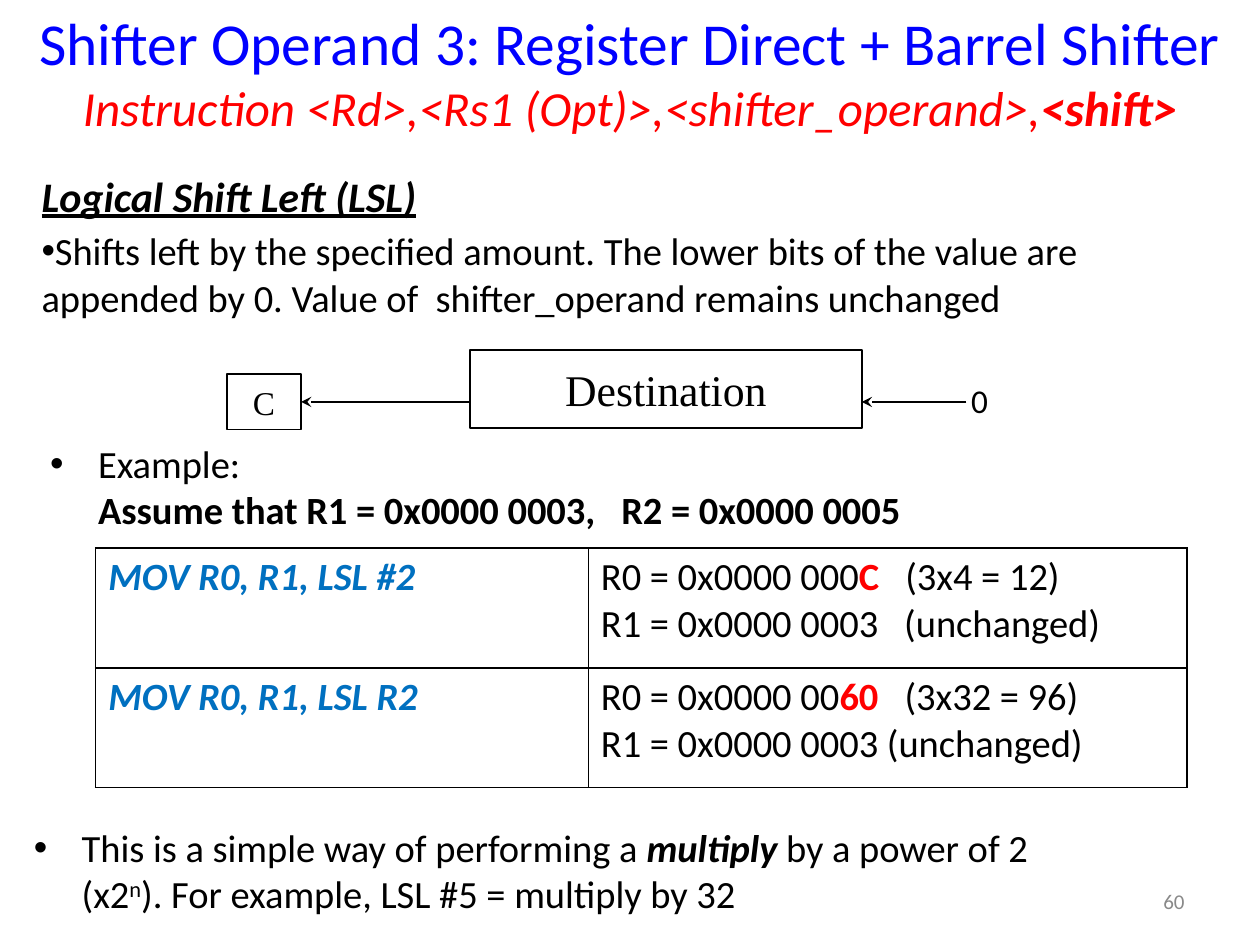
from lxml import etree
from pptx import Presentation
from pptx.dml.color import RGBColor
from pptx.enum.shapes import MSO_CONNECTOR, MSO_SHAPE
from pptx.enum.text import MSO_ANCHOR, MSO_AUTO_SIZE, PP_ALIGN
from pptx.oxml.ns import qn
from pptx.util import Inches, Pt

CENTER, RIGHT = PP_ALIGN.CENTER, PP_ALIGN.RIGHT
TOP, MIDDLE = MSO_ANCHOR.TOP, MSO_ANCHOR.MIDDLE
STRAIGHT, RECTANGLE = MSO_CONNECTOR.STRAIGHT, MSO_SHAPE.RECTANGLE
NO_FIT = MSO_AUTO_SIZE.NONE
LEFT_SIDE, RIGHT_SIDE = 1, 3
COLORS = {"title": "0000FF", "syntax": "FF0000", "text": "000000",
          "code": "0070C0", "number": "898989", "paper": "FFFFFF"}
SANS, SERIF = "Calibri", "Times New Roman"
BODY_SIZE = 22
CHANGED = {"color": "syntax", "bold": True}
CODE = {"color": "code", "bold": True, "italic": True}
TABLE_ROWS = [
    ("MOV R0, R1, LSL #2",
     [("R0 = 0x0000 000", {}), ("C   ", CHANGED), ("(3x4 = 12)", {})],
     "R1 = 0x0000 0003   (unchanged)"),
    ("MOV R0, R1, LSL R2",
     [("R0 = 0x0000 00", {}), ("60   ", CHANGED), ("(3x32 = 96)", {})],
     "R1 = 0x0000 0003 (unchanged)"),
]


def rgb(name):
    """Look up a named colour."""
    return RGBColor.from_string(COLORS[name])


def style_run(run, size=BODY_SIZE, font=SANS, color="text", bold=False,
              italic=False, underline=False, raised=False):
    """Format one run."""
    run.font.size = Pt(size)
    run.font.name = font
    run.font.color.rgb = rgb(color)
    run.font.bold, run.font.italic = bold, italic
    run.font.underline = underline
    if raised:
        run.font._element.set("baseline", "30000")


def write(paragraph, pieces, align=None, before=0):
    """Fill a paragraph with (text, style) pieces."""
    paragraph.alignment = align
    paragraph.space_before = Pt(before)
    for text, style in pieces:
        run = paragraph.add_run()
        run.text = text
        style_run(run, **style)


def set_bullet(paragraph, margin=0.0, hanging=0.0, bullet=True):
    """Set the indent of a paragraph and switch its bullet on or off."""
    properties = paragraph._p.get_or_add_pPr()
    properties.set("marL", str(Inches(margin)))
    properties.set("indent", str(-Inches(hanging)))
    if bullet:
        etree.SubElement(properties, qn("a:buFont")).set("typeface", "Arial")
        etree.SubElement(properties, qn("a:buChar")).set("char", "•")
    else:
        etree.SubElement(properties, qn("a:buNone"))


def place(shape, box):
    """Move a shape to a box given as left, top, width, height in inches."""
    shape.left, shape.top, shape.width, shape.height = map(Inches, box)


def add_text_box(slide, box, wrap=True, anchor=TOP):
    """Add an empty text box and return its text frame."""
    frame = slide.shapes.add_textbox(*map(Inches, box)).text_frame
    frame.word_wrap = wrap
    frame.vertical_anchor = anchor
    return frame


def prepare_placeholder(placeholder, box):
    """Place a placeholder, align it to the top and return its text frame."""
    place(placeholder, box)
    frame = placeholder.text_frame
    frame.auto_size = NO_FIT
    frame.vertical_anchor = TOP
    return frame


def fill_title(slide, box):
    """Write the title and the instruction syntax."""
    frame = prepare_placeholder(slide.shapes.title, box)
    write(frame.paragraphs[0],
          [("Shifter Operand 3: Register Direct + Barrel Shifter",
            {"size": 34, "color": "title"})], CENTER)
    syntax = {"size": 28, "color": "syntax", "italic": True}
    write(frame.add_paragraph(),
          [("Instruction <Rd>,<Rs1 (Opt)>,<shifter_operand>,", syntax),
           ("<shift>", {**syntax, "bold": True})], CENTER)


def fill_body(slide, box):
    """Write the heading and the description of the shift."""
    frame = prepare_placeholder(slide.placeholders[1], box)
    heading = frame.paragraphs[0]
    set_bullet(heading, bullet=False)
    write(heading, [("Logical Shift Left (LSL)",
                     {"size": 24, "bold": True, "italic": True, "underline": True})])
    description = frame.add_paragraph()
    set_bullet(description)
    write(description,
          [("Shifts left by the specified amount. The lower bits of the value are "
            "appended by 0. Value of  shifter_operand remains unchanged", {})], before=4)


def add_register(slide, box, label, size):
    """Add an outlined register with a centred label."""
    shape = slide.shapes.add_shape(RECTANGLE, *map(Inches, box))
    shape.shadow.inherit = False
    shape.fill.background()
    shape.line.color.rgb = rgb("text")
    shape.line.width = Pt(1)
    shape.text_frame.word_wrap = False
    shape.text_frame.vertical_anchor = MIDDLE
    write(shape.text_frame.paragraphs[0],
          [(label, {"size": size, "font": SERIF})], CENTER)
    return shape


def add_arrow(slide, start, end, y):
    """Add a horizontal arrow with a stealth head at its end."""
    arrow = slide.shapes.add_connector(
        STRAIGHT, Inches(start), Inches(y), Inches(end), Inches(y))
    arrow.line.color.rgb = rgb("text")
    arrow.line.width = Pt(1)
    etree.SubElement(arrow.line._get_or_add_ln(), qn("a:tailEnd")).set("type", "stealth")
    etree.SubElement(arrow._element.spPr, qn("a:effectLst"))
    return arrow


def add_shift_diagram(slide, box):
    """Draw the zero moving into the destination and on into the carry."""
    left, top, width, height = box
    arrow_y = top + 0.41
    add_register(slide, (left + 1.93, top, 3.11, height), "Destination", 25)
    carry = add_register(slide, (left, arrow_y - 0.22, 0.59, 0.44), "C", 19)
    carry_arrow = add_arrow(slide, left + 1.93, left + 0.59, arrow_y)
    carry_arrow.end_connect(carry, RIGHT_SIDE)
    add_arrow(slide, left + 5.87, left + 5.04, arrow_y)
    zero = add_text_box(slide, (left + width - 0.34, arrow_y - 0.22, 0.34, 0.42), False)
    write(zero.paragraphs[0], [("0", {"size": 19})])


def add_example(slide, box):
    """Write the starting values of the example."""
    frame = add_text_box(slide, box)
    set_bullet(frame.paragraphs[0], 0.38, 0.38)
    write(frame.paragraphs[0], [("Example:", {})])
    values = frame.add_paragraph()
    set_bullet(values, 0.38, bullet=False)
    write(values, [("Assume that R1 = 0x0000 0003,   R2 = 0x0000 0005", {"bold": True})])


def format_cell(cell):
    """Give a cell thin black borders and a white fill."""
    properties = cell._tc.get_or_add_tcPr()
    for side in ("a:lnL", "a:lnR", "a:lnT", "a:lnB"):
        line = etree.SubElement(properties, qn(side), w=str(Pt(1)))
        fill = etree.SubElement(line, qn("a:solidFill"))
        etree.SubElement(fill, qn("a:srgbClr")).set("val", COLORS["text"])
    cell.fill.solid()
    cell.fill.fore_color.rgb = rgb("paper")


def add_results_table(slide, box):
    """Add the table of instructions and resulting registers."""
    table = slide.shapes.add_table(len(TABLE_ROWS), 2, *map(Inches, box)).table
    table.first_row = table.horz_banding = False
    table.columns[0].width, table.columns[1].width = Inches(3.91), Inches(4.75)
    for row, (instruction, result, unchanged) in enumerate(TABLE_ROWS):
        code_cell, result_cell = table.cell(row, 0), table.cell(row, 1)
        write(code_cell.text_frame.paragraphs[0], [(instruction, CODE)])
        write(result_cell.text_frame.paragraphs[0], result)
        write(result_cell.text_frame.add_paragraph(), [(unchanged, {})])
        format_cell(code_cell)
        format_cell(result_cell)


def add_conclusion(slide, box):
    """Write the closing remark on multiplication."""
    paragraph = add_text_box(slide, box).paragraphs[0]
    set_bullet(paragraph, 0.38, 0.38)
    write(paragraph, [("This is a simple way of performing a ", {}),
                      ("multiply", {"bold": True, "italic": True}),
                      (" by a power of 2 (x2", {}), ("n", {"raised": True}),
                      ("). For example, LSL #5 = multiply by 32", {})])


def add_slide_number(slide, box):
    """Write the slide number."""
    frame = add_text_box(slide, box, anchor=MIDDLE)
    write(frame.paragraphs[0], [("60", {"size": 12, "color": "number"})], RIGHT)


def main():
    """Build and save the slide."""
    presentation = Presentation()
    presentation.slide_width, presentation.slide_height = Inches(10), Inches(7.5)
    slide = presentation.slides.add_slide(presentation.slide_layouts[1])
    fill_title(slide, (0, 0, 10, 0.75))
    fill_body(slide, (0.23, 1.3, 9, 1.4))
    add_shift_diagram(slide, (1.8, 2.78, 6.15, 0.62))
    add_example(slide, (0.3, 3.44, 9.5, 0.84))
    add_results_table(slide, (0.76, 4.35, 8.66, 1.9))
    add_conclusion(slide, (0.17, 6.49, 8.49, 0.84))
    add_slide_number(slide, (7.17, 6.95, 2.33, 0.4))
    presentation.save("out.pptx")


if __name__ == "__main__":
    main()
